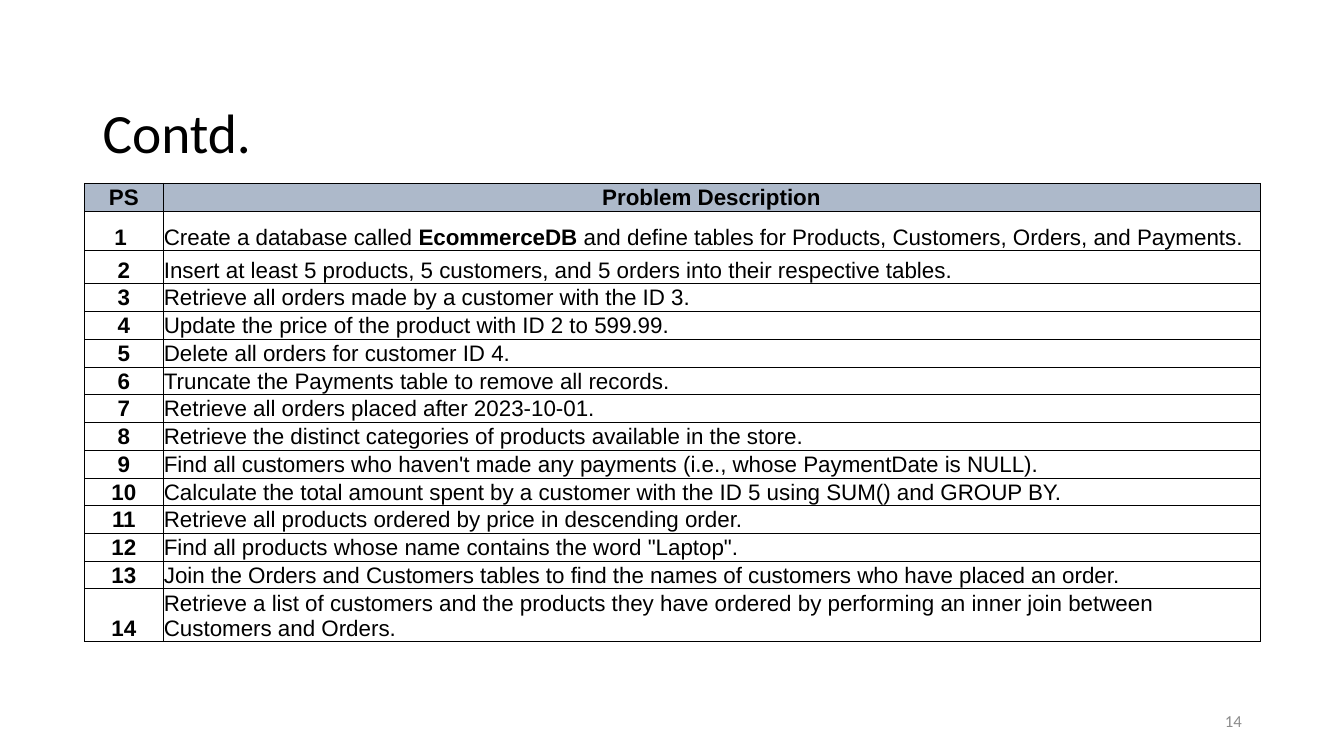
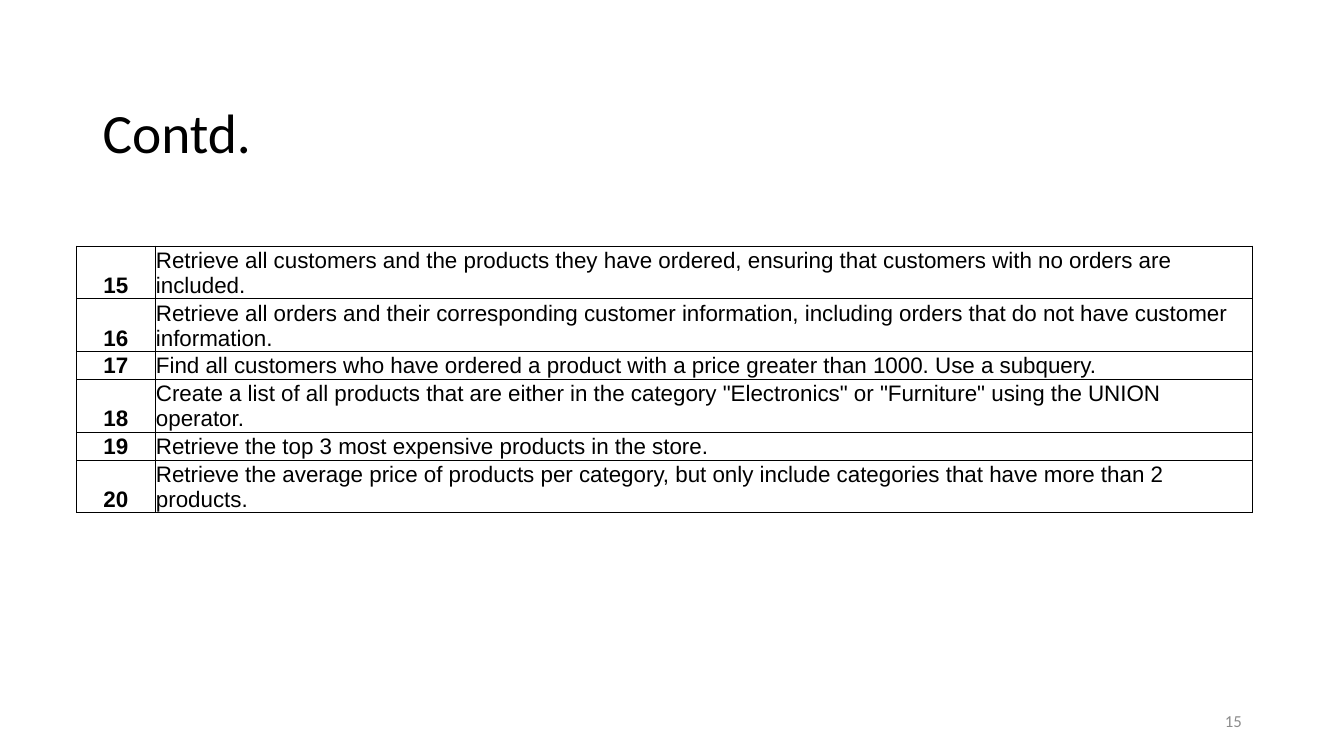
"""Builds two slides of numbered database exercises."""
from lxml import etree
from pptx import Presentation
from pptx.dml.color import RGBColor
from pptx.enum.text import MSO_ANCHOR, MSO_AUTO_SIZE, PP_ALIGN
from pptx.oxml.ns import qn
from pptx.util import Cm, Pt

LEFT, CENTER, RIGHT = PP_ALIGN.LEFT, PP_ALIGN.CENTER, PP_ALIGN.RIGHT
MIDDLE, BOTTOM = MSO_ANCHOR.MIDDLE, MSO_ANCHOR.BOTTOM
NO_AUTOFIT = MSO_AUTO_SIZE.NONE
TITLE_ONLY = 5

BLACK, GREY, HEADER_BLUE = "000000", "8C8C8C", "ADB9CA"
HEADING_FONT, TABLE_FONT = "Calibri", "Arial"
COLUMN_WIDTHS = (1.98, 27.64)
ONE_LINE, TWO_LINES = 0.7, 1.33
CELL_INSET = 0.02
BORDER_WIDTH = 0.6

HEADER = ("PS", "Problem Description")
FIRST_PROBLEMS = [
    ("1 ", [("Create a database called ", False), ("EcommerceDB", True),
            (" and define tables for Products, Customers, Orders, and Payments.", False)], 1),
    ("2", "Insert at least 5 products, 5 customers, and 5 orders into their respective tables.", 0.83),
    ("3", "Retrieve all orders made by a customer with the ID 3.", ONE_LINE),
    ("4", "Update the price of the product with ID 2 to 599.99.", ONE_LINE),
    ("5", "Delete all orders for customer ID 4.", ONE_LINE),
    ("6", "Truncate the Payments table to remove all records.", ONE_LINE),
    ("7", "Retrieve all orders placed after 2023-10-01.", ONE_LINE),
    ("8", "Retrieve the distinct categories of products available in the store.", ONE_LINE),
    ("9", "Find all customers who haven't made any payments (i.e., whose PaymentDate is NULL).", ONE_LINE),
    ("10", "Calculate the total amount spent by a customer with the ID 5 using SUM() and GROUP BY.", ONE_LINE),
    ("11", "Retrieve all products ordered by price in descending order.", ONE_LINE),
    ("12", 'Find all products whose name contains the word "Laptop".', ONE_LINE),
    ("13", "Join the Orders and Customers tables to find the names of customers who have placed an order.",
     ONE_LINE),
    ("14", "Retrieve a list of customers and the products they have ordered by performing an inner join "
           "between Customers and Orders.", TWO_LINES),
]
LAST_PROBLEMS = [
    ("15", "Retrieve all customers and the products they have ordered, ensuring that customers with no "
           "orders are included.", TWO_LINES),
    ("16", "Retrieve all orders and their corresponding customer information, including orders that do "
           "not have customer information.", TWO_LINES),
    ("17", "Find all customers who have ordered a product with a price greater than 1000. Use a subquery.",
     ONE_LINE),
    ("18", 'Create a list of all products that are either in the category "Electronics" or "Furniture" '
           "using the UNION operator.", TWO_LINES),
    ("19", "Retrieve the top 3 most expensive products in the store.", ONE_LINE),
    ("20", "Retrieve the average price of products per category, but only include categories that have "
           "more than 2 products.", TWO_LINES),
]


def color(value):
    """Turn a hex string into a colour."""
    return RGBColor.from_string(value)


def write_text(frame, text, font=TABLE_FONT, size=16, ink=BLACK, bold=False, align=LEFT, spacing=1.0):
    """Write a string, or a list of (text, bold) spans, as one paragraph."""
    para = frame.paragraphs[0]
    para.alignment = align
    para.line_spacing = spacing
    spans = [(text, bold)] if isinstance(text, str) else text
    for words, strong in spans:
        span = para.add_run()
        span.text = words
        span.font.name = font
        span.font.size = Pt(size)
        span.font.bold = strong
        span.font.color.rgb = color(ink)


def add_borders(cell):
    """Give a cell a thin black line on all four sides."""
    properties = cell._tc.get_or_add_tcPr()
    for side in ("lnL", "lnR", "lnT", "lnB"):
        line = etree.SubElement(properties, qn(f"a:{side}"), w=str(Pt(BORDER_WIDTH)))
        fill = etree.SubElement(line, qn("a:solidFill"))
        etree.SubElement(fill, qn("a:srgbClr"), val=BLACK)


def fill_cell(cell, text, fill=None, **style):
    """Set the text, insets, borders and fill of a cell."""
    cell.margin_left = cell.margin_right = Cm(CELL_INSET)
    cell.margin_top = cell.margin_bottom = Cm(CELL_INSET)
    cell.vertical_anchor = BOTTOM
    add_borders(cell)
    if fill:
        cell.fill.solid()
        cell.fill.fore_color.rgb = color(fill)
    else:
        cell.fill.background()
    write_text(cell.text_frame, text, **style)


def add_problem_table(page, left, top, problems, header=None):
    """Add a table of numbered problems, with an optional header row."""
    heights = [ONE_LINE] * bool(header) + [height for _, _, height in problems]
    table = page.shapes.add_table(len(heights), len(COLUMN_WIDTHS), Cm(left), Cm(top),
                                  Cm(sum(COLUMN_WIDTHS)), Cm(sum(heights))).table
    table.first_row = bool(header)
    table.horz_banding = False
    for column, width in zip(table.columns, COLUMN_WIDTHS):
        column.width = Cm(width)
    for row, height in zip(table.rows, heights):
        row.height = Cm(height)
    if header:
        for cell, label in zip(table.rows[0].cells, header):
            fill_cell(cell, label, fill=HEADER_BLUE, bold=True, align=CENTER)
    for index, (number, description, _) in enumerate(problems, start=int(bool(header))):
        fill_cell(table.cell(index, 0), number, bold=True, align=CENTER)
        fill_cell(table.cell(index, 1), description)


def add_title(page, text):
    """Place and format the title placeholder."""
    title = page.shapes.title
    title.left, title.top, title.width, title.height = Cm(2.33), Cm(2.54), Cm(29.21), Cm(1.75)
    frame = title.text_frame
    frame.auto_size = NO_AUTOFIT
    frame.vertical_anchor = MIDDLE
    write_text(frame, text, font=HEADING_FONT, size=39.6, spacing=0.9)


def add_page_number(page, number):
    """Write the page number at the lower right."""
    box = page.shapes.add_textbox(Cm(23.93), Cm(17.65), Cm(7.62), Cm(1.02))
    frame = box.text_frame
    frame.word_wrap = True
    frame.vertical_anchor = MIDDLE
    write_text(frame, str(number), font=HEADING_FONT, size=12, ink=GREY, align=RIGHT)


def add_page(deck, number, left, top, problems, header=None):
    """Add one slide with title, problem table and page number."""
    page = deck.slides.add_slide(deck.slide_layouts[TITLE_ONLY])
    add_title(page, "Contd.")
    add_problem_table(page, left, top, problems, header)
    add_page_number(page, number)


def main():
    """Build and save the deck."""
    deck = Presentation()
    deck.slide_width, deck.slide_height = Cm(33.87), Cm(19.05)
    add_page(deck, 14, 2.13, 4.62, FIRST_PROBLEMS, HEADER)
    add_page(deck, 15, 1.93, 6.2, LAST_PROBLEMS)
    deck.save("out.pptx")


if __name__ == "__main__":
    main()
